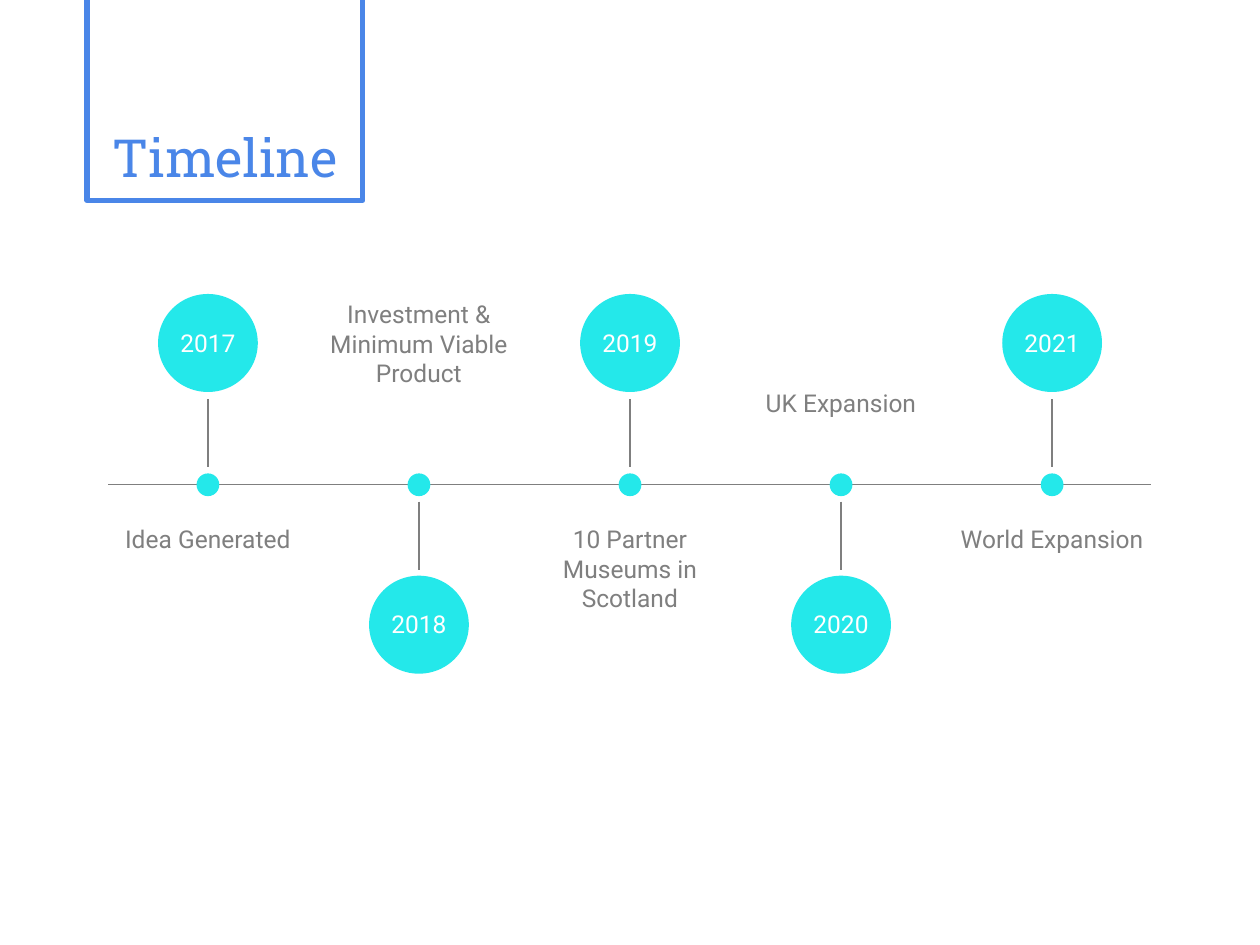
import dataclasses

import pptx
import pptx.dml.color
import pptx.enum.shapes
import pptx.enum.text
import pptx.oxml.ns
import pptx.util
from lxml import etree

Pt = pptx.util.Pt
Anchor = pptx.enum.text.MSO_ANCHOR

HUES = {"blue": "4A86E8", "cyan": "24E8EA", "gray": "7F7F7F", "white": "FFFFFF"}
START, STEP, AXIS = 118.8, 120.6, 277


@dataclasses.dataclass
class Stage:
    year: str
    label: str
    above: bool
    lift: float = 0


STAGES = [
    Stage("2017", "Idea Generated", True),
    Stage("2018", "Investment & Minimum Viable Product", False, 17),
    Stage("2019", "10 Partner Museums in Scotland", True),
    Stage("2020", "UK Expansion", False),
    Stage("2021", "World Expansion", True),
]


def color(name: str) -> pptx.dml.color.RGBColor:
    return pptx.dml.color.RGBColor.from_string(HUES[name])


def write(shape, text: str, *, size: float = 14, font: str = "Roboto",
          hue: str = "gray", anchor=Anchor.TOP, inset: float = 3.6) -> None:
    frame = shape.text_frame
    frame.word_wrap = True
    frame.auto_size = pptx.enum.text.MSO_AUTO_SIZE.NONE
    frame.vertical_anchor = anchor
    frame.margin_left = frame.margin_right = Pt(7.2)
    frame.margin_top = frame.margin_bottom = Pt(inset)
    para = frame.paragraphs[0]
    para.alignment = pptx.enum.text.PP_ALIGN.CENTER
    run = para.add_run()
    run.text = text
    run.font.size = Pt(size)
    run.font.name = font
    run.font.color.rgb = color(hue)


def add_box(slide, mid: float, top: float, width: float, height: float):
    return slide.shapes.add_textbox(
        Pt(mid - width / 2), Pt(top), Pt(width), Pt(height))


def add_disc(slide, mid: float, center: float, width: float, height: float) -> None:
    disc = slide.shapes.add_shape(
        pptx.enum.shapes.MSO_SHAPE.OVAL, Pt(mid - width / 2),
        Pt(center - height / 2), Pt(width), Pt(height))
    disc.shadow.inherit = False
    disc.fill.solid()
    disc.fill.fore_color.rgb = color("cyan")
    disc.line.fill.background()


def add_line(slide, left: float, top: float, right: float, bottom: float) -> None:
    line = slide.shapes.add_connector(
        pptx.enum.shapes.MSO_CONNECTOR.STRAIGHT,
        Pt(left), Pt(top), Pt(right), Pt(bottom))
    line.line.color.rgb = color("gray")
    line.line.width = Pt(0.75)
    etree.SubElement(line._element.spPr, pptx.oxml.ns.qn("a:effectLst"))


def add_stage(slide, stage: Stage, mid: float) -> None:
    disc, stem, year, label, anchor = (
        (196, (228.2, 267), 183.6, 296, Anchor.TOP) if stage.above
        else (357, (286.6, 326), 344.2, 155, Anchor.BOTTOM))
    add_disc(slide, mid, disc, 57, 56)
    add_disc(slide, mid, AXIS, 13, 13)
    add_line(slide, mid, stem[0], mid, stem[1])
    write(add_box(slide, mid, year, 50, 26), stage.year, hue="white")
    write(add_box(slide, mid, label - stage.lift, 130.4, 87), stage.label,
          anchor=anchor)


def add_title(slide) -> None:
    title = slide.shapes.title
    title.left, title.top = Pt(49.7), Pt(-11.5)
    title.width, title.height = Pt(157.7), Pt(126)
    title.line.color.rgb = color("blue")
    title.line.width = Pt(3)
    write(title, "Timeline", size=30, font="Roboto Slab", hue="blue",
          anchor=Anchor.BOTTOM, inset=7.2)


def main() -> None:
    deck = pptx.Presentation()
    deck.slide_width, deck.slide_height = Pt(720), Pt(540)
    slide = deck.slides.add_slide(deck.slide_layouts[5])
    add_title(slide)
    add_line(slide, 62, AXIS, 658, AXIS)
    for index, stage in enumerate(STAGES):
        add_stage(slide, stage, START + index * STEP)
    deck.save("out.pptx")


if __name__ == "__main__":
    main()
